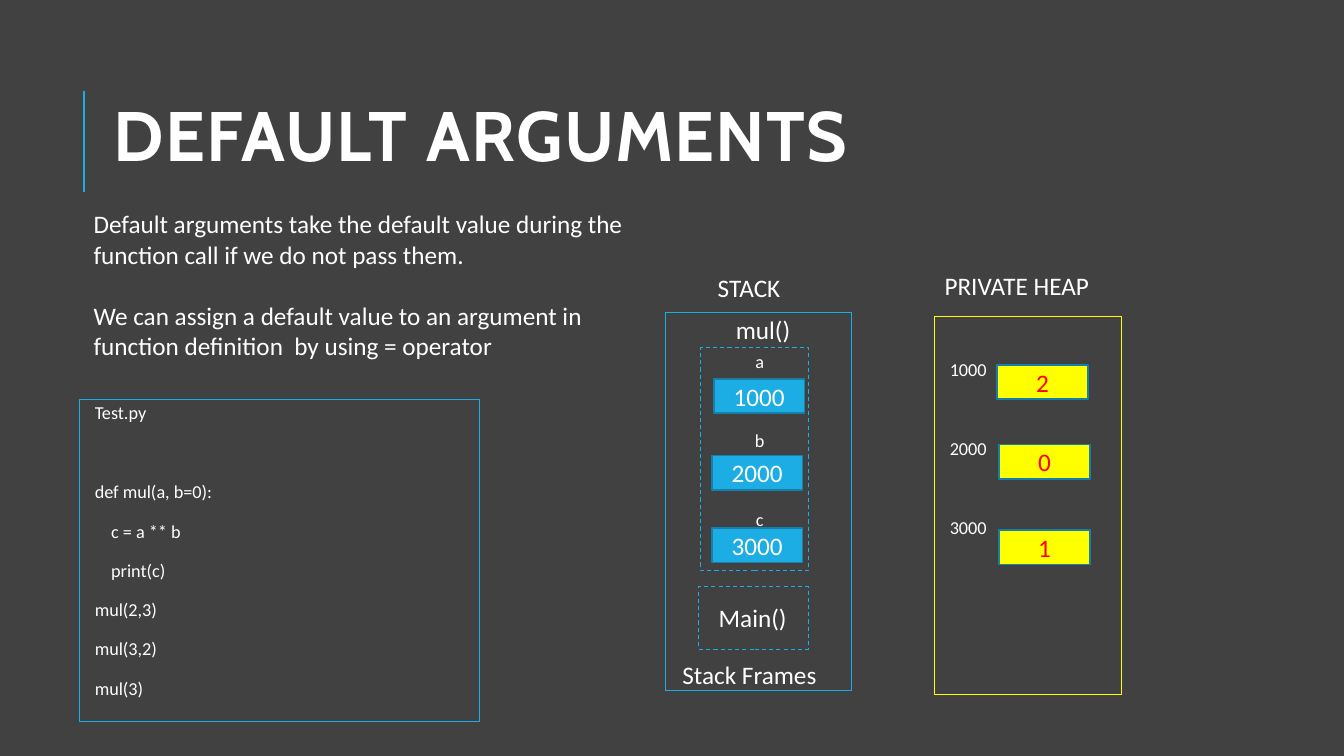
from dataclasses import dataclass

from lxml.etree import SubElement
from pptx import Presentation
from pptx.dml.color import RGBColor
from pptx.enum.dml import MSO_LINE
from pptx.enum.shapes import MSO_CONNECTOR, MSO_SHAPE
from pptx.enum.text import MSO_ANCHOR, MSO_AUTO_SIZE, PP_ALIGN
from pptx.oxml.ns import qn
from pptx.shapes.autoshape import Shape
from pptx.slide import Slide
from pptx.text.text import TextFrame
from pptx.util import Inches, Pt


@dataclass(frozen=True)
class Theme:
    back: str = "414141"
    white: str = "FFFFFF"
    blue: str = "1CADE4"
    edge: str = "1580A9"
    yellow: str = "FFFF00"
    red: str = "FF0000"
    head: str = "Cabin"
    body: str = "Calibri"
    title: int = 50
    large: int = 18
    small: int = 13


THEME = Theme()
STEP = 28.3  # height in points of one code line with its spacing


@dataclass(frozen=True)
class Frame:
    left: float
    top: float
    width: float
    height: float
    line: str = THEME.blue
    dash: bool = False
    text: tuple[str, ...] = ()
    gaps: tuple[float, ...] = ()
    inset: float = 0.05
    align: PP_ALIGN = PP_ALIGN.LEFT


@dataclass(frozen=True)
class Label:
    left: float
    top: float
    width: float
    text: str


@dataclass(frozen=True)
class Cell:
    left: float
    top: float
    text: str
    fill: str = THEME.blue
    ink: str = THEME.white


CODE = ("Test.py", "def mul(a, b=0):", "    c = a ** b", "    print(c)",
        "mul(2,3)", "mul(3,2)", "mul(3)")
WIDE = 12 + STEP

FRAMES = (
    Frame(0.79, 3.96, 3.97, 3.2, text=CODE, gaps=(0, WIDE, 12, 12, 12, 12, 12)),
    Frame(6.6, 3.1, 1.85, 3.75),
    Frame(9.27, 3.14, 1.85, 3.75, THEME.yellow, text=("1000", "2000", "3000"),
          gaps=(0, WIDE, WIDE), inset=0.44),
    Frame(6.95, 3.45, 1.07, 2.21, dash=True, text=("a", "b", "c"),
          gaps=(0, WIDE, WIDE), align=PP_ALIGN.CENTER),
    Frame(6.93, 5.82, 1.09, 0.62, dash=True),
)
LABELS = (
    Label(7.02, 2.65, 0.9, "STACK"),
    Label(9.27, 2.63, 1.7, "PRIVATE HEAP"),
    Label(7.2, 3.07, 0.9, "mul()"),
    Label(7.03, 5.93, 0.9, "Main()"),
    Label(6.67, 6.49, 1.73, "Stack Frames"),
)
CELLS = (
    Cell(7.08, 3.76, "1000"),
    Cell(7.06, 4.52, "2000"),
    Cell(7.06, 5.24, "3000"),
    Cell(9.89, 3.62, "2", THEME.yellow, THEME.red),
    Cell(9.91, 4.41, "0", THEME.yellow, THEME.red),
    Cell(9.91, 5.26, "1", THEME.yellow, THEME.red),
)
NOTES = (
    "Default arguments take the default value during the function call "
    "if we do not pass them.",
    "We can assign a default value to an argument in function definition  "
    "by using = operator",
)


def color(code: str) -> RGBColor:
    return RGBColor.from_string(code)


def write(frame: TextFrame, lines: tuple[str, ...], size: int,
          ink: str = THEME.white, align: PP_ALIGN = PP_ALIGN.LEFT) -> None:
    frame.word_wrap = True
    for place, line in enumerate(lines):
        para = frame.add_paragraph() if place else frame.paragraphs[0]
        para.alignment = align
        run = para.add_run()
        run.text = line
        run.font.size = Pt(size)
        run.font.name = THEME.body
        run.font.color.rgb = color(ink)


def add_box(slide: Slide, left: float, top: float, width: float,
            height: float, line: str, weight: float) -> Shape:
    shape = slide.shapes.add_shape(
        MSO_SHAPE.RECTANGLE, Inches(left), Inches(top), Inches(width), Inches(height))
    shape.shadow.inherit = False
    shape.fill.background()
    shape.line.color.rgb = color(line)
    shape.line.width = Pt(weight)
    return shape


def add_frame(slide: Slide, item: Frame) -> None:
    shape = add_box(slide, item.left, item.top, item.width, item.height, item.line, 0.75)
    if item.dash:
        shape.line.dash_style = MSO_LINE.DASH
    if not item.text:
        return
    text = shape.text_frame
    text.vertical_anchor = MSO_ANCHOR.TOP
    text.margin_left = Inches(0.15)
    text.margin_right = text.margin_bottom = Inches(0.05)
    text.margin_top = Inches(item.inset)
    write(text, item.text, THEME.small, align=item.align)
    for para, gap in zip(text.paragraphs, item.gaps):
        para.line_spacing = 0.9
        para.space_before = Pt(gap)
        para.space_after = Pt(2)


def add_cell(slide: Slide, item: Cell) -> None:
    shape = add_box(slide, item.left, item.top, 0.9, 0.34, THEME.edge, 1.25)
    shape.fill.solid()
    shape.fill.fore_color.rgb = color(item.fill)
    shape.text_frame.vertical_anchor = MSO_ANCHOR.MIDDLE
    write(shape.text_frame, (item.text,), THEME.large, item.ink, PP_ALIGN.CENTER)


def add_text(slide: Slide, left: float, top: float, width: float,
             height: float, lines: tuple[str, ...]) -> TextFrame:
    box = slide.shapes.add_textbox(Inches(left), Inches(top), Inches(width), Inches(height))
    write(box.text_frame, lines, THEME.large)
    box.text_frame.auto_size = MSO_AUTO_SIZE.SHAPE_TO_FIT_TEXT
    return box.text_frame


def add_title(slide: Slide, words: str) -> None:
    title = slide.shapes.title
    title.left, title.top = Inches(1.03), Inches(0.58)
    title.width, title.height = Inches(10.63), Inches(1.64)
    frame = title.text_frame
    frame.auto_size = MSO_AUTO_SIZE.NONE
    frame.vertical_anchor = MSO_ANCHOR.MIDDLE
    write(frame, (words,), THEME.title)
    para = frame.paragraphs[0]
    para.line_spacing = 0.8
    font = para.runs[0].font
    font.name = THEME.head
    font.bold = True
    para.runs[0]._r.get_or_add_rPr().set("spc", "100")


def add_rule(slide: Slide) -> None:
    """Draw the upright line beside the title."""
    rule = slide.shapes.add_connector(
        MSO_CONNECTOR.STRAIGHT, Inches(0.83), Inches(1.9), Inches(0.83), Inches(0.9))
    rule.line.color.rgb = color(THEME.blue)
    rule.line.width = Pt(1.5)
    SubElement(rule._element.spPr, qn("a:effectLst"))


def main() -> None:
    deck = Presentation()
    deck.slide_width, deck.slide_height = Inches(13.33), Inches(7.5)
    slide = deck.slides.add_slide(deck.slide_layouts[5])
    slide.background.fill.solid()
    slide.background.fill.fore_color.rgb = color(THEME.back)
    add_title(slide, "DEFAULT ARGUMENTS")
    add_rule(slide)
    for frame in FRAMES:
        add_frame(slide, frame)
    for label in LABELS:
        add_text(slide, label.left, label.top, label.width, 0.4, (label.text,))
    for cell in CELLS:
        add_cell(slide, cell)
    notes = add_text(slide, 0.83, 2.02, 5.57, 1.62, NOTES)
    notes.paragraphs[1].space_before = Pt(22)
    deck.save("out.pptx")


if __name__ == "__main__":
    main()
